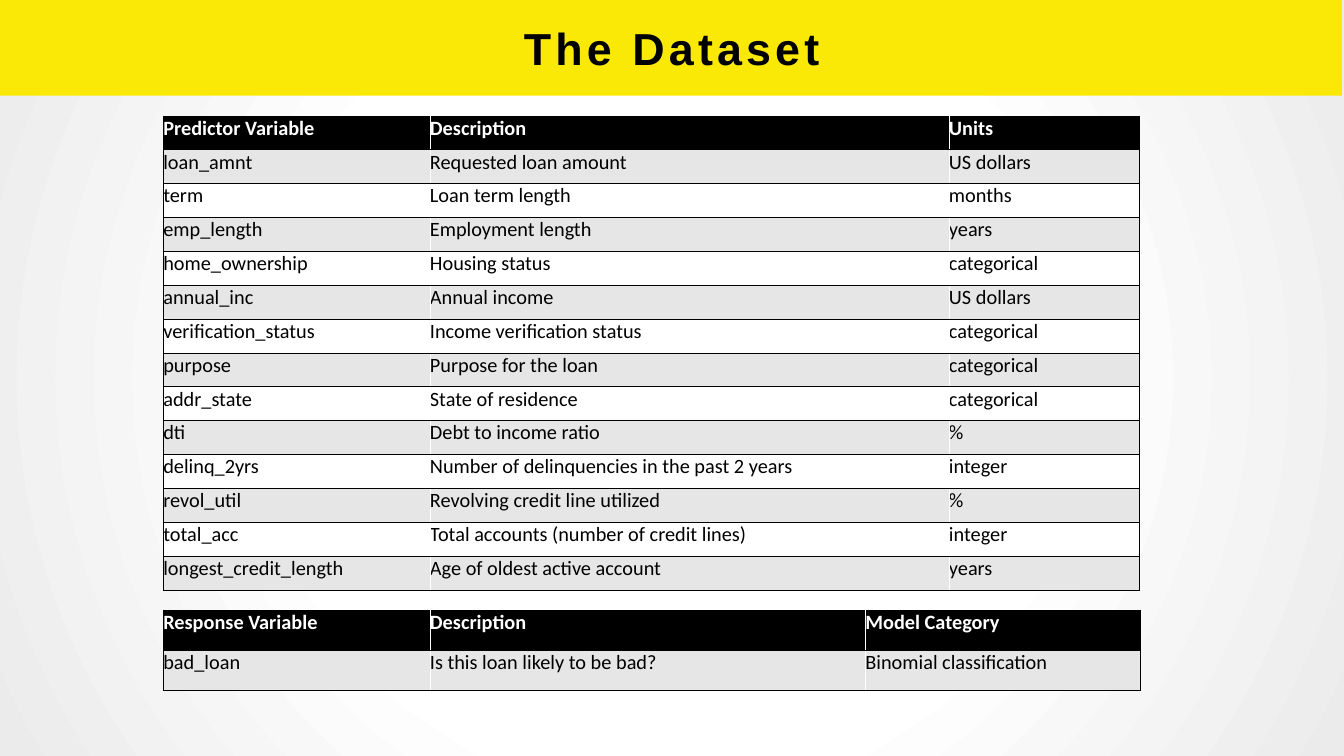
"""Build the slide that lists the predictor and response variables of the loan dataset."""
from dataclasses import dataclass

from lxml.etree import SubElement
from pptx import Presentation
from pptx.dml.color import RGBColor
from pptx.enum.shapes import MSO_SHAPE as Preset
from pptx.enum.text import MSO_ANCHOR as Anchor, PP_ALIGN as Align
from pptx.oxml import parse_xml
from pptx.oxml.ns import nsdecls, qn
from pptx.slide import Slide
from pptx.table import _Cell as Cell
from pptx.text.text import _Paragraph as Paragraph
from pptx.util import Inches, Pt

SLIDE_WIDTH, SLIDE_HEIGHT = Inches(26.67), Inches(15)


@dataclass(frozen=True)
class Theme:
    ink: str = "000000"
    paper: str = "FFFFFF"
    stripe: str = "E6E6E6"
    edge: str = "EBEBEB"
    accent: str = "FAE807"
    title_font: str = "Arial"
    table_font: str = "Calibri"
    title_size: int = 64
    table_size: int = 29
    title_spacing: int = 6
    rule_width: int = 1


@dataclass(frozen=True)
class Area:
    left: float
    top: float
    width: float
    height: float

    def emu(self) -> tuple[int, int, int, int]:
        return across(self.left), down(self.top), across(self.width), down(self.height)


@dataclass(frozen=True)
class VariableTable:
    top: float
    row_height: float
    columns: tuple[float, ...]
    rows: tuple[tuple[str, ...], ...]


THEME = Theme()
BAND = Area(-0.15, -0.07, 100, 12.73)
TITLE = Area(2.51, -0.13, 94.94, 12.87)
TABLE_LEFT = 12.15
NAME_COLUMN = 19.84

PREDICTORS = VariableTable(15.33, 4.48, (NAME_COLUMN, 38.62, 14.17), (
    ("Predictor Variable", "Description", "Units"),
    ("loan_amnt", "Requested loan amount", "US dollars"),
    ("term", "Loan term length", "months"),
    ("emp_length", "Employment length", "years"),
    ("home_ownership", "Housing status", "categorical"),
    ("annual_inc", "Annual income", "US dollars"),
    ("verification_status", "Income verification status", "categorical"),
    ("purpose", "Purpose for the loan", "categorical"),
    ("addr_state", "State of residence", "categorical"),
    ("dti", "Debt to income ratio", "%"),
    ("delinq_2yrs", "Number of delinquencies in the past 2 years", "integer"),
    ("revol_util", "Revolving credit line utilized", "%"),
    ("total_acc", "Total accounts (number of credit lines)", "integer"),
    ("longest_credit_length", "Age of oldest active account", "years"),
))
RESPONSE = VariableTable(80.67, 5.3, (NAME_COLUMN, 32.4, 20.47), (
    ("Response Variable", "Description", "Model Category"),
    ("bad_loan", "Is this loan likely to be bad?", "Binomial classification"),
))


def across(percent: float) -> int:
    """Turn a percentage of the slide width into a length."""
    return round(SLIDE_WIDTH * percent / 100)


def down(percent: float) -> int:
    """Turn a percentage of the slide height into a length."""
    return round(SLIDE_HEIGHT * percent / 100)


def set_font(paragraph: Paragraph, name: str, size: int, color: str, bold: bool) -> None:
    """Format a whole paragraph."""
    font = paragraph.font
    font.name, font.size, font.bold = name, Pt(size), bold
    font.color.rgb = RGBColor.from_string(color)


def paint_background(slide: Slide) -> None:
    """Give the slide a radial gradient that darkens towards its edge."""
    slide.element.cSld.insert(0, parse_xml(
        f'<p:bg {nsdecls("p", "a")}><p:bgPr><a:gradFill rotWithShape="1"><a:gsLst>'
        f'<a:gs pos="50000"><a:srgbClr val="{THEME.paper}"/></a:gs>'
        f'<a:gs pos="100000"><a:srgbClr val="{THEME.edge}"/></a:gs></a:gsLst>'
        '<a:path path="circle"><a:fillToRect l="50000" t="50000" r="50000" b="50000"/></a:path>'
        '</a:gradFill><a:effectLst/></p:bgPr></p:bg>'))


def add_heading(slide: Slide, text: str) -> None:
    """Put the title on a coloured band."""
    band = slide.shapes.add_shape(Preset.RECTANGLE, *BAND.emu())
    band.shadow.inherit = False
    band.fill.solid()
    band.fill.fore_color.rgb = RGBColor.from_string(THEME.accent)
    band.line.fill.background()
    title = slide.shapes.title
    title.element.addprevious(band.element)
    title.left, title.top, title.width, title.height = TITLE.emu()
    frame = title.text_frame
    frame.margin_left = frame.margin_right = frame.margin_top = frame.margin_bottom = Inches(0.1)
    frame.vertical_anchor = Anchor.MIDDLE
    frame.text = text
    heading = frame.paragraphs[0]
    heading.alignment = Align.CENTER
    set_font(heading, THEME.title_font, THEME.title_size, THEME.ink, True)
    heading.runs[0].font._element.set("spc", str(THEME.title_spacing * 100))


def add_rules(cell: Cell, sides: str) -> None:
    """Draw solid borders on the given sides, listed in the order L, R, T, B."""
    properties = cell._tc.get_or_add_tcPr()
    for position, side in enumerate(sides):
        rule = SubElement(properties, qn(f"a:ln{side}"), w=str(Pt(THEME.rule_width)))
        fill = SubElement(rule, qn("a:solidFill"))
        SubElement(fill, qn("a:srgbClr"), val=THEME.ink)
        properties.insert(position, rule)


def fill_cell(cell: Cell, text: str, color: str, background: str, bold: bool) -> None:
    """Write and colour one cell without margins."""
    cell.text = text
    cell.margin_left = cell.margin_right = cell.margin_top = cell.margin_bottom = 0
    cell.fill.solid()
    cell.fill.fore_color.rgb = RGBColor.from_string(background)
    set_font(cell.text_frame.paragraphs[0], THEME.table_font, THEME.table_size, color, bold)


def add_variables(slide: Slide, variables: VariableTable) -> None:
    """Add a table with a dark header and striped rows."""
    row_count, column_count = len(variables.rows), len(variables.columns)
    area = Area(TABLE_LEFT, variables.top, sum(variables.columns), variables.row_height * row_count)
    table = slide.shapes.add_table(row_count, column_count, *area.emu()).table
    for column, width in zip(table.columns, variables.columns):
        column.width = across(width)
    for row_index, (row, texts) in enumerate(zip(table.rows, variables.rows)):
        row.height = down(variables.row_height)
        header = row_index == 0
        color = THEME.paper if header else THEME.ink
        body = THEME.stripe if row_index % 2 else THEME.paper
        for column_index, (cell, text) in enumerate(zip(row.cells, texts)):
            fill_cell(cell, text, color, THEME.ink if header else body, header)
            outer = {0: "L", column_count - 1: "R"}.get(column_index, "")
            add_rules(cell, outer + "TB")


def main() -> None:
    """Build and save the slide."""
    presentation = Presentation()
    presentation.slide_width, presentation.slide_height = SLIDE_WIDTH, SLIDE_HEIGHT
    slide = presentation.slides.add_slide(presentation.slide_layouts.get_by_name("Title Only"))
    paint_background(slide)
    add_heading(slide, "The Dataset")
    for variables in (PREDICTORS, RESPONSE):
        add_variables(slide, variables)
    presentation.save("out.pptx")


if __name__ == "__main__":
    main()
